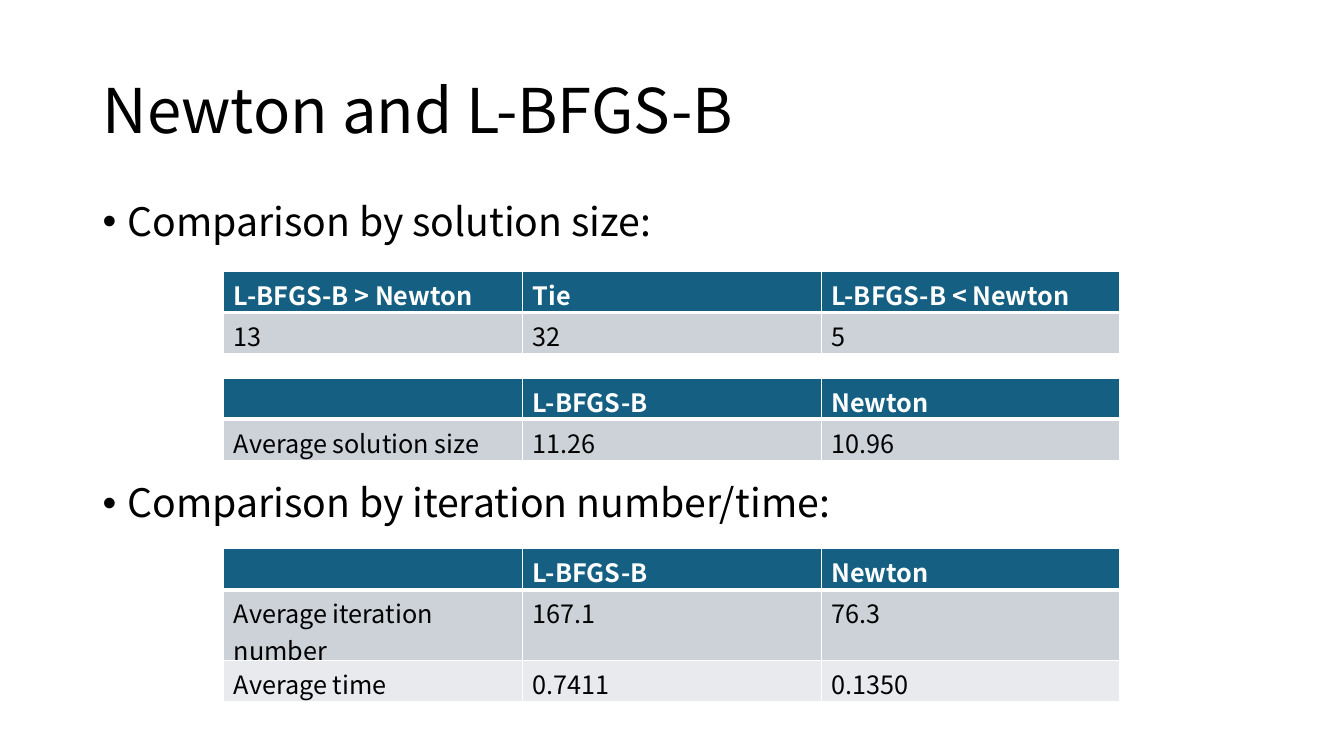
"""Build the slide comparing Newton and L-BFGS-B with two bullets and three tables."""
import dataclasses

import lxml.etree
import pptx
import pptx.dml.color
import pptx.enum.text
import pptx.oxml.ns
import pptx.slide
import pptx.table
import pptx.text.text
import pptx.util

FONT = "Noto Sans CJK SC"
COLORS = {
    "text": "000000",
    "header": "156082",
    "odd_row": "CCD2D8",
    "even_row": "E8EAED",
    "white": "FFFFFF",
}
TEXT_LEFT, TEXT_WIDTH = 0.92, 11.5
TABLE_LEFT, TABLE_WIDTH, ROW_HEIGHT = 2.22, 8.89, 0.41


@dataclasses.dataclass(frozen=True)
class Line:
    text: str
    top: float
    height: float
    size: int
    bulleted: bool = True


@dataclasses.dataclass(frozen=True)
class Comparison:
    top: float
    rows: tuple[tuple[str, ...], ...]


LINES = (
    Line("Newton and L-BFGS-B", 0.4, 1.45, 44, bulleted=False),
    Line("Comparison by solution size:", 1.96, 0.6, 28),
    Line("Comparison by iteration number/time:", 4.75, 0.6, 28),
)
SOLVERS = ("", "L-BFGS-B", "Newton")
COMPARISONS = (
    Comparison(2.69, (("L-BFGS-B > Newton", "Tie", "L-BFGS-B < Newton"), ("13", "32", "5"))),
    Comparison(3.75, (SOLVERS, ("Average solution size", "11.26", "10.96"))),
    Comparison(5.44, (
        SOLVERS,
        ("Average iteration number", "167.1", "76.3"),
        ("Average time", "0.7411", "0.1350"),
    )),
)


def rgb(color: str) -> pptx.dml.color.RGBColor:
    return pptx.dml.color.RGBColor.from_string(COLORS[color])


def format_runs(paragraph: pptx.text.text._Paragraph, size: int, color: str, bold: bool = False) -> None:
    for run in paragraph.runs:
        run.font.name = FONT
        run.font.size = pptx.util.Pt(size)
        run.font.bold = bold
        run.font.color.rgb = rgb(color)


def add_bullet(paragraph: pptx.text.text._Paragraph) -> None:
    properties = paragraph._p.get_or_add_pPr()
    indent = pptx.util.Inches(0.25)
    properties.set("marL", str(indent))
    properties.set("indent", str(-indent))
    font = lxml.etree.SubElement(properties, pptx.oxml.ns.qn("a:buFont"))
    font.set("typeface", "Arial")
    bullet = lxml.etree.SubElement(properties, pptx.oxml.ns.qn("a:buChar"))
    bullet.set("char", "•")


def add_line(slide: pptx.slide.Slide, line: Line) -> None:
    box = slide.shapes.add_textbox(
        pptx.util.Inches(TEXT_LEFT), pptx.util.Inches(line.top),
        pptx.util.Inches(TEXT_WIDTH), pptx.util.Inches(line.height),
    )
    frame = box.text_frame
    frame.word_wrap = True
    frame.text = line.text
    paragraph = frame.paragraphs[0]
    paragraph.line_spacing = 0.9
    format_runs(paragraph, line.size, "text")
    if line.bulleted:
        add_bullet(paragraph)
    else:
        frame.vertical_anchor = pptx.enum.text.MSO_ANCHOR.MIDDLE


def add_borders(cell: pptx.table._Cell, top: int, bottom: int) -> None:
    properties = cell._tc.get_or_add_tcPr()
    widths = {"lnL": 1, "lnR": 1, "lnT": top, "lnB": bottom}
    for position, (side, width) in enumerate(widths.items()):
        border = lxml.etree.Element(pptx.oxml.ns.qn(f"a:{side}"), w=str(pptx.util.Pt(width)))
        fill = lxml.etree.SubElement(border, pptx.oxml.ns.qn("a:solidFill"))
        lxml.etree.SubElement(fill, pptx.oxml.ns.qn("a:srgbClr"), val=COLORS["white"])
        properties.insert(position, border)


def add_comparison(slide: pptx.slide.Slide, comparison: Comparison) -> None:
    row_count = len(comparison.rows)
    table = slide.shapes.add_table(
        row_count, len(comparison.rows[0]),
        pptx.util.Inches(TABLE_LEFT), pptx.util.Inches(comparison.top),
        pptx.util.Inches(TABLE_WIDTH), pptx.util.Inches(ROW_HEIGHT * row_count),
    ).table
    for row, values in enumerate(comparison.rows):
        is_header = row == 0
        band = "header" if is_header else ("even_row", "odd_row")[row % 2]
        for column, value in enumerate(values):
            cell = table.cell(row, column)
            cell.text_frame.text = value
            format_runs(cell.text_frame.paragraphs[0], 18, "white" if is_header else "text", is_header)
            cell.fill.solid()
            cell.fill.fore_color.rgb = rgb(band)
            add_borders(cell, top=3 if row == 1 else 1, bottom=3 if is_header else 1)


def main() -> None:
    presentation = pptx.Presentation()
    presentation.slide_width = pptx.util.Inches(13.33)
    presentation.slide_height = pptx.util.Inches(7.5)
    slide = presentation.slides.add_slide(presentation.slide_layouts[6])
    for line in LINES:
        add_line(slide, line)
    for comparison in COMPARISONS:
        add_comparison(slide, comparison)
    presentation.save("out.pptx")


if __name__ == "__main__":
    main()
